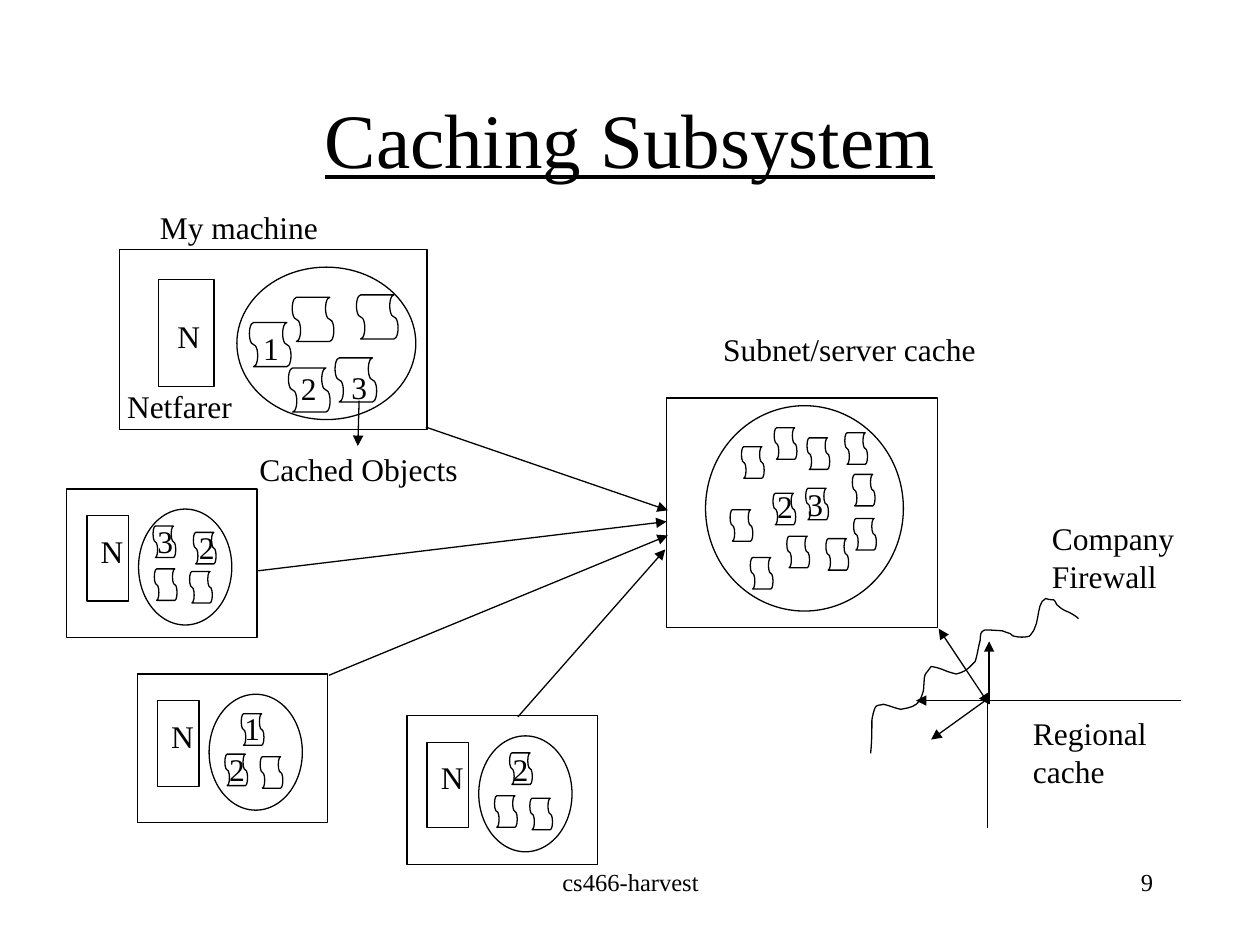
from lxml.etree import SubElement
from pptx import Presentation
from pptx.dml.color import RGBColor
from pptx.enum.shapes import MSO_CONNECTOR, MSO_SHAPE
from pptx.enum.text import MSO_ANCHOR, MSO_AUTO_SIZE, PP_ALIGN
from pptx.oxml.ns import qn
from pptx.util import Inches, Pt

FONT = "Times New Roman"
BLACK = "000000"
DIGIT_W, LETTER_W = 0.32, 0.38

# Firewall curve: start point, then two control points and an end point each
FIREWALL_START = (6.91, 5.98)
FIREWALL_CURVES = [
    (6.92, 5.89, 6.92, 5.80, 6.92, 5.72), (6.92, 5.70, 6.94, 5.62, 6.95, 5.61),
    (6.97, 5.59, 6.99, 5.60, 7.01, 5.59), (7.06, 5.60, 7.10, 5.62, 7.15, 5.63),
    (7.27, 5.61, 7.30, 5.59, 7.33, 5.48), (7.34, 5.32, 7.33, 5.38, 7.39, 5.29),
    (7.45, 5.30, 7.47, 5.31, 7.52, 5.33), (7.55, 5.34, 7.59, 5.35, 7.59, 5.35),
    (7.67, 5.33, 7.69, 5.30, 7.74, 5.25), (7.76, 5.19, 7.76, 5.15, 7.78, 5.08),
    (7.78, 5.06, 7.78, 5.02, 7.80, 5.01), (7.81, 5.00, 7.82, 5.00, 7.84, 5.00),
    (8.01, 5.01, 7.92, 5.00, 8.02, 5.03), (8.03, 5.04, 8.04, 5.05, 8.05, 5.05),
    (8.09, 5.06, 8.13, 5.06, 8.17, 5.05), (8.18, 5.04, 8.21, 5.00, 8.21, 4.99),
    (8.25, 4.92, 8.23, 4.78, 8.30, 4.75), (8.32, 4.76, 8.34, 4.76, 8.36, 4.76),
    (8.38, 4.77, 8.38, 4.80, 8.40, 4.81), (8.42, 4.83, 8.44, 4.84, 8.46, 4.85),
    (8.49, 4.86, 8.54, 4.89, 8.56, 4.91),
]


def rgb(color):
    return RGBColor.from_string(color)


def set_font(p, size):
    p.font.name = FONT
    p.font.size = Pt(size)
    p.font.color.rgb = rgb(BLACK)


def style_outline(sp):
    sp.shadow.inherit = False
    sp.fill.background()
    sp.line.color.rgb = rgb(BLACK)
    sp.line.width = Pt(0.75)


def add_outline(s, kind, x, y, w, h):
    sp = s.shapes.add_shape(kind, Inches(x), Inches(y), Inches(w), Inches(h))
    style_outline(sp)
    return sp


def add_objects(s, points, w=0.25, h=0.18):
    """Cached objects: punched tapes standing on end."""
    for x, y in points:
        add_outline(s, MSO_SHAPE.FLOWCHART_PUNCHED_TAPE, x, y, w, h).rotation = 270


def add_label(s, text, x, y, w, h=0.4):
    tf = s.shapes.add_textbox(Inches(x), Inches(y), Inches(w), Inches(h)).text_frame
    tf.word_wrap = False
    tf.auto_size = MSO_AUTO_SIZE.SHAPE_TO_FIT_TEXT
    tf.text = text
    for p in tf.paragraphs:
        set_font(p, 18)


def add_footer(s, text, x, w, align):
    tf = s.shapes.add_textbox(Inches(x), Inches(6.83), Inches(w), Inches(0.5)).text_frame
    tf.word_wrap = True
    tf.text = text
    p = tf.paragraphs[0]
    p.alignment = align
    set_font(p, 14)


def add_line(s, start, end, ends=("tailEnd",)):
    x1, y1, x2, y2 = (Inches(v) for v in start + end)
    line = s.shapes.add_connector(MSO_CONNECTOR.STRAIGHT, x1, y1, x2, y2)
    line.line.color.rgb = rgb(BLACK)
    line.line.width = Pt(0.75)
    ln = line.line._get_or_add_ln()
    for end_tag in ends:
        SubElement(ln, qn("a:" + end_tag), type="triangle")
    SubElement(line._element.spPr, qn("a:effectLst"))


def add_curve(s, start, curves, steps=6):
    points, p0 = [], start
    for x1, y1, x2, y2, x3, y3 in curves:
        for i in range(1, steps + 1):
            t = i / steps
            u = 1 - t
            weights = (u ** 3, 3 * u * u * t, 3 * u * t * t, t ** 3)
            xs, ys = (p0[0], x1, x2, x3), (p0[1], y1, y2, y3)
            points.append(tuple(Inches(sum(a * b for a, b in zip(weights, axis)))
                                for axis in (xs, ys)))
        p0 = (x3, y3)
    builder = s.shapes.build_freeform(Inches(start[0]), Inches(start[1]))
    builder.add_line_segments(points, close=False)
    style_outline(builder.convert_to_shape())


def add_title(s, text):
    title = s.shapes.title
    title.left, title.top = Inches(0.75), Inches(0.47)
    title.width, title.height = Inches(8.5), Inches(1.25)
    tf = title.text_frame
    tf.text = text
    tf.vertical_anchor = MSO_ANCHOR.MIDDLE
    p = tf.paragraphs[0]
    p.alignment = PP_ALIGN.CENTER
    set_font(p, 44)
    p.font.underline = True


def add_my_machine(s):
    add_objects(s, [(1.97, 2.57), (2.28, 2.93), (2.31, 2.37), (2.82, 2.35),
                    (2.65, 2.85)], 0.35, 0.33)
    for text, x, y in (("1", 1.99, 2.56), ("2", 2.29, 2.88), ("3", 2.69, 2.87)):
        add_label(s, text, x, y, DIGIT_W)
    add_outline(s, MSO_SHAPE.OVAL, 1.88, 2.12, 1.42, 1.21)
    add_outline(s, MSO_SHAPE.RECTANGLE, 1.26, 2.22, 0.44, 0.85)
    add_outline(s, MSO_SHAPE.RECTANGLE, 0.95, 1.98, 2.44, 1.43)
    add_label(s, "N", 1.31, 2.47, LETTER_W)
    add_label(s, "Netfarer", 0.91, 3.02, 1.11)
    add_label(s, "My machine", 1.17, 1.6, 1.5)
    add_line(s, (2.85, 3.18), (2.84, 3.54))
    add_label(s, "Cached Objects", 1.96, 3.52, 1.82)


def add_client(s, x, y, top_objects, digits):
    """Client machine; objects and digits are placed from its corner."""
    objects = top_objects + [(0.66, 0.67), (0.94, 0.69)]
    add_objects(s, [(x + dx, y + dy) for dx, dy in objects])
    add_outline(s, MSO_SHAPE.OVAL, x + 0.57, y + 0.16, 0.74, 0.92)
    add_outline(s, MSO_SHAPE.RECTANGLE, x + 0.16, y + 0.21, 0.33, 0.68)
    add_outline(s, MSO_SHAPE.RECTANGLE, x, y, 1.51, 1.18)
    add_label(s, "N", x + 0.17, y + 0.29, LETTER_W)
    for text, dx, dy in digits:
        add_label(s, text, x + dx, y + dy, DIGIT_W)


def add_server(s):
    add_objects(s, [(6.11, 3.43), (6.67, 3.47), (6.1, 3.95), (6.36, 3.91),
                    (5.76, 4.08), (6.21, 4.29), (5.85, 3.58), (6.74, 4.15),
                    (6.37, 3.51), (6.73, 3.8), (5.92, 4.46), (6.52, 4.31)])
    add_outline(s, MSO_SHAPE.OVAL, 5.6, 3.22, 1.57, 1.63)
    add_outline(s, MSO_SHAPE.RECTANGLE, 5.29, 3.16, 2.15, 1.82)
    add_label(s, "2", 6.07, 3.82, DIGIT_W)
    add_label(s, "3", 6.31, 3.8, DIGIT_W)
    add_label(s, "Subnet/server cache", 5.64, 2.57, 2.25)


def add_regional_cache(s):
    hub, center = (7.82, 5.56), (7.85, 5.59)
    add_line(s, hub, (9.37, 5.56), ends=())
    add_line(s, (7.84, 5.56), (7.84, 6.57), ends=())
    add_line(s, center, (7.85, 5.09))
    add_line(s, center, (7.45, 4.99), ends=("headEnd", "tailEnd"))
    add_line(s, hub, (7.27, 5.56))
    add_line(s, hub, (7.39, 5.87))
    add_label(s, "Regional\ncache", 8.1, 5.62, 1.1, 0.7)
    add_label(s, "Company\nFirewall", 8.25, 4.07, 1.17, 0.7)
    add_curve(s, FIREWALL_START, FIREWALL_CURVES)


def main():
    prs = Presentation()
    prs.slide_width, prs.slide_height = Inches(10), Inches(7.5)
    s = prs.slides.add_slide(prs.slide_layouts[5])
    add_title(s, "Caching Subsystem")

    # Machines with their own caches
    add_my_machine(s)
    add_client(s, 0.53, 3.88, [(0.65, 0.33), (0.97, 0.38)],
               [("3", 0.62, 0.21), ("2", 0.95, 0.26)])
    add_client(s, 3.23, 5.68, [(0.78, 0.33)], [("2", 0.74, 0.22)])
    add_client(s, 1.09, 5.35, [(0.79, 0.35)],
               [("2", 0.63, 0.55), ("1", 0.75, 0.23)])

    # Shared cache and the links to it
    add_server(s)
    for start, end in (((3.38, 3.39), (5.3, 4.05)), ((2.05, 4.53), (5.29, 4.14)),
                       ((2.61, 5.36), (5.3, 4.25)), ((4.11, 5.69), (5.28, 4.36))):
        add_line(s, start, end)
    add_regional_cache(s)

    # Footer
    add_footer(s, "cs466-harvest", 3.42, 3.17, PP_ALIGN.CENTER)
    add_footer(s, "9", 7.17, 2.08, PP_ALIGN.RIGHT)
    prs.save("out.pptx")


if __name__ == "__main__":
    main()
